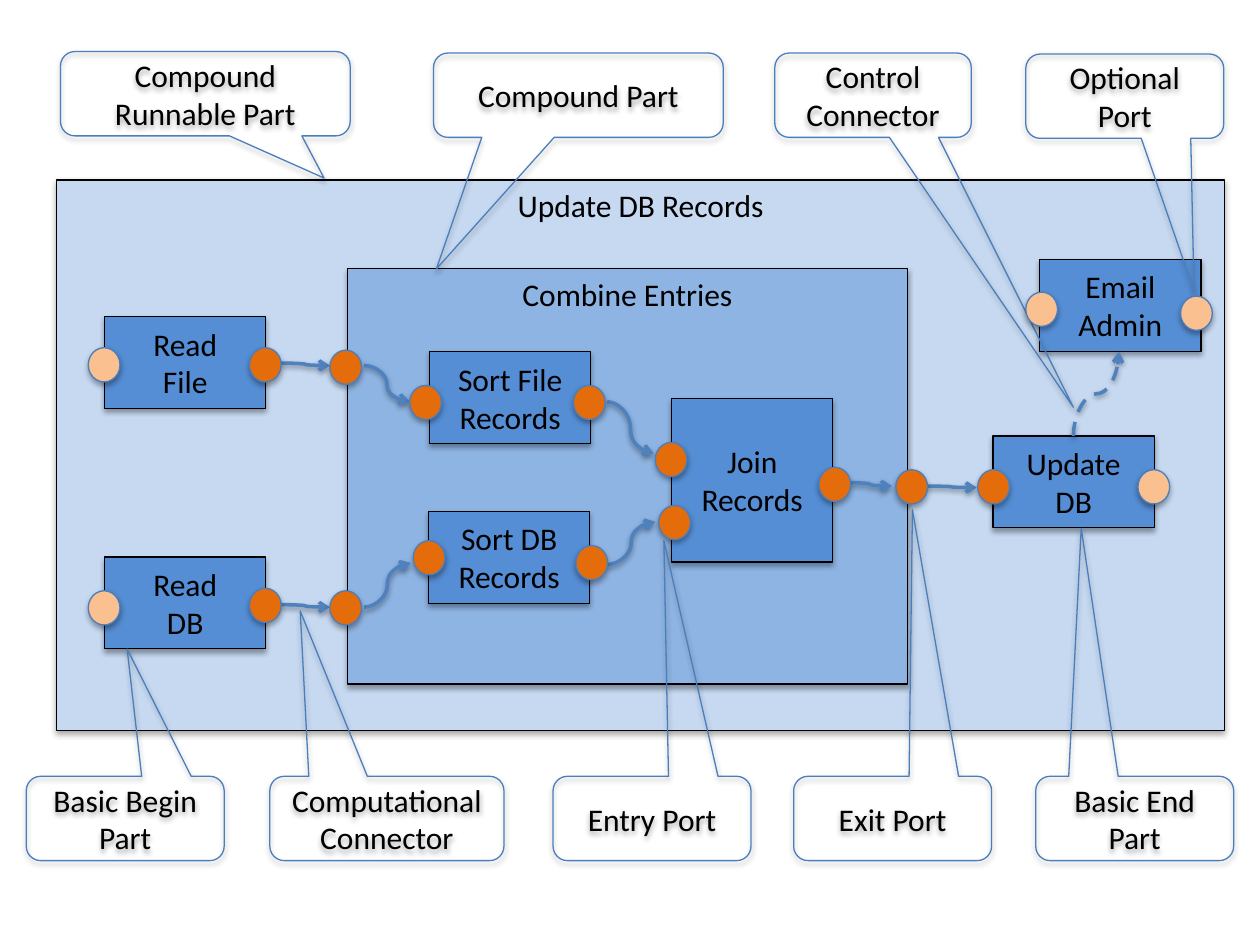
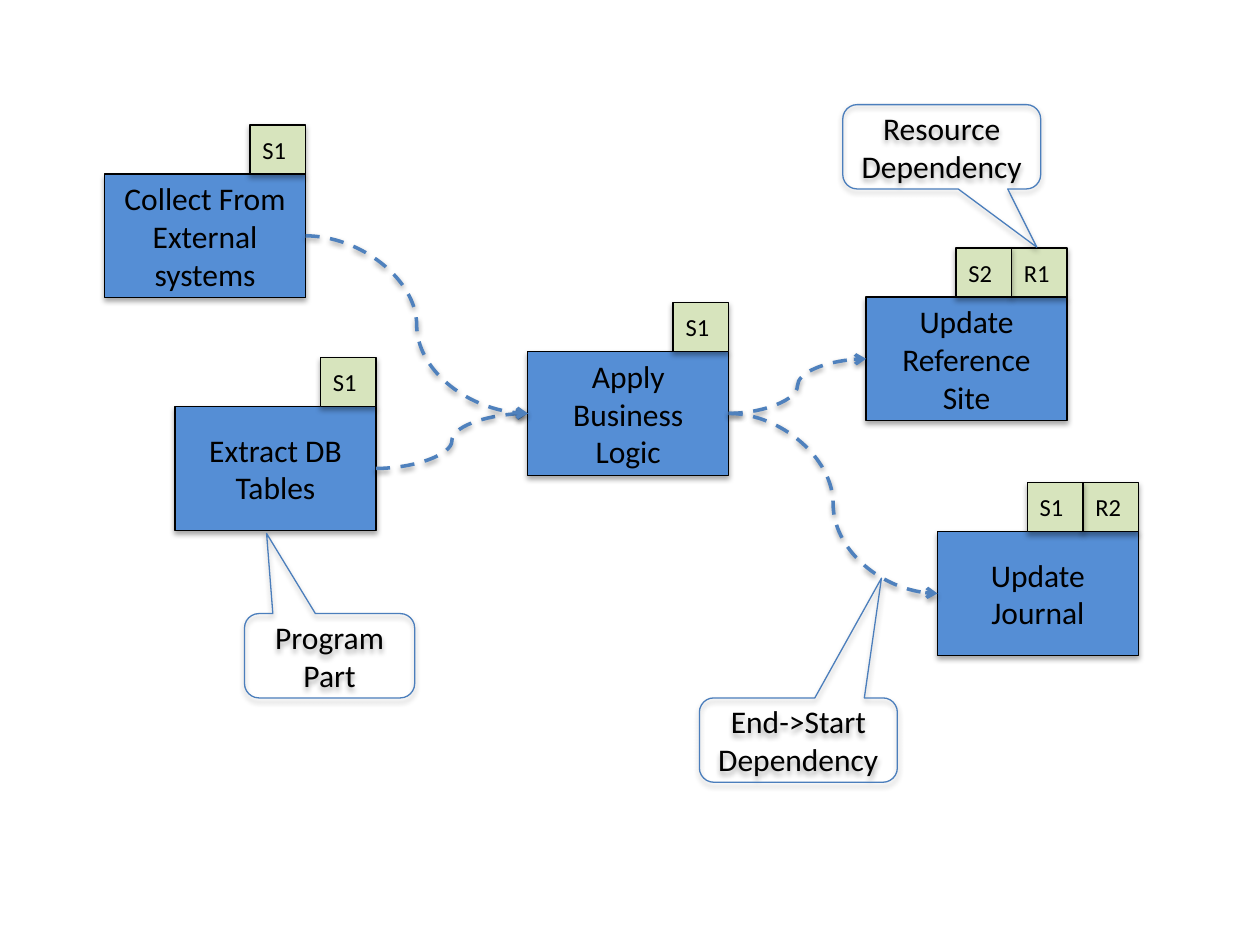
from dataclasses import dataclass
from typing import Any

from lxml import etree
from pptx import Presentation
from pptx import slide as sld
from pptx import util as u
from pptx.dml import color
from pptx.enum import dml, shapes, text
from pptx.oxml import ns
from pptx.shapes import autoshape, connector

Cm = u.Cm
KIND = shapes.MSO_SHAPE
CENTER, LEFT = text.PP_ALIGN.CENTER, text.PP_ALIGN.LEFT
MIDDLE, TOP = text.MSO_ANCHOR.MIDDLE, text.MSO_ANCHOR.TOP
SITE_LEFT, SITE_RIGHT = 1, 3


@dataclass(frozen=True)
class Theme:
    font: str = "Calibri"
    body: int = 18
    small: int = 14
    ink: str = "000000"
    outer: str = "C6D9F1"
    inner: str = "8EB4E3"
    step: str = "558ED5"
    tag: str = "D7E4BD"
    port: str = "E46C0A"
    optional: str = "FAC090"
    outline: str = "4B7EBC"
    link: str = "4F81BD"
    thin: float = 0.75
    thick: float = 2


@dataclass(frozen=True)
class Box:
    label: str
    x: float
    y: float
    w: float = 3.25
    h: float = 1.85
    fill: str = Theme.step
    anchor: Any = MIDDLE
    tags: tuple[str, ...] = ()


@dataclass(frozen=True)
class Callout:
    label: str
    x: float
    y: float
    tip: tuple[float, float]
    w: float = 3.99
    h: float = 1.7


@dataclass(frozen=True)
class Link:
    x1: float
    y1: float
    x2: float
    y2: float


T = Theme()
PORT_W, PORT_H = 0.64, 0.69
TAG_W, TAG_H = 1.12, 0.99
PROGRAM_W, PROGRAM_H = 4.05, 2.49


def rgb(value: str) -> color.RGBColor:
    return color.RGBColor.from_string(value)


def set_all(obj: Any, fmt: dict[str, Any]) -> None:
    for name, value in fmt.items():
        setattr(obj, name, value)


def add_shadow(sp_pr: Any, alpha: int, dist: int) -> None:
    effects = sp_pr.find(ns.qn("a:effectLst"))
    if effects is None:
        effects = etree.SubElement(sp_pr, ns.qn("a:effectLst"))
    outer = etree.SubElement(effects, ns.qn("a:outerShdw"), blurRad="40000",
                             dist=str(dist), dir="5400000", rotWithShape="0")
    clr = etree.SubElement(outer, ns.qn("a:srgbClr"), val=T.ink)
    etree.SubElement(clr, ns.qn("a:alpha"), val=str(alpha * 1000))


def add_shape(s: sld.Slide, kind: Any, x: float, y: float, w: float, h: float,
              fill: str | None, line: str) -> autoshape.Shape:
    sp = s.shapes.add_shape(kind, Cm(x), Cm(y), Cm(w), Cm(h))
    if fill:
        sp.fill.solid()
        sp.fill.fore_color.rgb = rgb(fill)
    else:
        sp.fill.background()
    sp.line.color.rgb = rgb(line)
    sp.line.width = u.Pt(T.thin)
    sp.shadow.inherit = False
    add_shadow(sp.element.spPr, 35, 23000)
    return sp


def write(sp: autoshape.Shape, label: str, size: int = T.body,
          align: Any = CENTER, anchor: Any = MIDDLE) -> None:
    tf = sp.text_frame
    set_all(tf, {"text": label, "word_wrap": True, "vertical_anchor": anchor})
    for p in tf.paragraphs:
        p.alignment = align
        for r in p.runs:
            set_all(r.font, {"name": T.font, "size": u.Pt(size)})
            r.font.color.rgb = rgb(T.ink)


def add_box(s: sld.Slide, box: Box) -> autoshape.Shape:
    sp = add_shape(s, KIND.FLOWCHART_PROCESS, box.x, box.y, box.w, box.h, box.fill, T.ink)
    write(sp, box.label, anchor=box.anchor)
    for i, tag in enumerate(box.tags, start=1):
        tag_sp = add_shape(s, KIND.FLOWCHART_PROCESS, box.x + box.w - i * TAG_W,
                           box.y - TAG_H, TAG_W, TAG_H, T.tag, T.ink)
        write(tag_sp, tag, T.small, LEFT)
    return sp


def add_callout(s: sld.Slide, c: Callout) -> None:
    sp = add_shape(s, KIND.ROUNDED_RECTANGULAR_CALLOUT, c.x, c.y, c.w, c.h, None, T.outline)
    for i, value in enumerate((*c.tip, 0.17)):
        sp.adjustments[i] = value
    write(sp, c.label)


def add_port(s: sld.Slide, x: float, y: float, fill: str) -> None:
    add_shape(s, KIND.FLOWCHART_CONNECTOR, x, y, PORT_W, PORT_H, fill, T.outline)


def add_link(s: sld.Slide, k: Link, dashed: bool = False) -> connector.Connector:
    cx = s.shapes.add_connector(shapes.MSO_CONNECTOR.CURVE,
                                Cm(k.x1), Cm(k.y1), Cm(k.x2), Cm(k.y2))
    cx.line.color.rgb = rgb(T.link)
    cx.line.width = u.Pt(T.thick)
    if dashed:
        cx.line.dash_style = dml.MSO_LINE.DASH
    sp_pr = cx.element.spPr
    etree.SubElement(sp_pr.find(ns.qn("a:ln")), ns.qn("a:tailEnd"), type="arrow")
    add_shadow(sp_pr, 38, 20000)
    return cx


def add_upright_link(s: sld.Slide, k: Link) -> None:
    mx, my = (k.x1 + k.x2) / 2, (k.y1 + k.y2) / 2
    dx, dy = k.x1 - mx, k.y1 - my
    cx = add_link(s, Link(mx + dy, my - dx, mx - dy, my + dx), dashed=True)
    cx.element.spPr.find(ns.qn("a:xfrm")).set("rot", "5400000")


def join(s: sld.Slide, start: autoshape.Shape, end: autoshape.Shape) -> None:
    cx = add_link(s, Link(0, 0, 1, 1), dashed=True)
    cx.begin_connect(start, SITE_RIGHT)
    cx.end_connect(end, SITE_LEFT)


PARTS = [
    Box("Update DB Records", 1.14, 3.63, 23.55, 11.1, T.outer, TOP),
    Box("Combine Entries", 7.01, 5.41, 11.28, 8.38, T.inner, TOP),
    Box("Read\nFile", 2.11, 6.38),
    Box("Read\nDB", 2.11, 11.23),
    Box("Update\nDB", 20.02, 8.79),
    Box("Sort File\nRecords", 8.66, 7.09),
    Box("Sort DB Records", 8.64, 10.31),
    Box("Join\nRecords", 13.54, 8.03, h=3.3),
    Box("Email\nAdmin", 20.96, 5.23),
]
LINKS = [
    Link(5.66, 7.32, 6.65, 7.37),
    Link(5.66, 12.19, 6.65, 12.24),
    Link(7.34, 7.37, 8.26, 8.1),
    Link(7.34, 12.24, 8.28, 11.35),
    Link(12.24, 8.1, 13.18, 9.14),
    Link(12.24, 11.38, 13.21, 10.52),
    Link(17.12, 9.73, 17.98, 9.8),
    Link(18.67, 9.8, 19.69, 9.83),
]
CONTROL_LINK = Link(21.64, 8.79, 22.56, 7.09)
PART_CALLOUTS = [
    Callout("Compound Runnable Part", 1.22, 1.04, (0.41, 1), 5.84),
    Callout("Control Connector", 15.62, 1.07, (1.02, 3.7), 3.96),
    Callout("Compound Part", 8.74, 1.07, (-0.49, 2.06), 5.84),
    Callout("Optional Port", 20.68, 1.09, (0.35, 2.31)),
    Callout("Basic Begin Part", 0.53, 15.65, (0.01, -2.01)),
    Callout("Computational Connector", 5.44, 15.65, (-0.37, -2.46), 4.72),
    Callout("Entry Port", 11.15, 15.65, (0.06, -3.29)),
    Callout("Exit Port", 16, 15.65, (0.1, -3.66)),
    Callout("Basic End Part", 20.88, 15.65, (-0.27, -3.44)),
]
PORTS = {
    T.optional: [(1.78, 7.01), (1.78, 11.91), (20.68, 5.89), (22.94, 9.47), (23.8, 5.97)],
    T.port: [(5.03, 7.01), (5.03, 11.86), (6.65, 7.06), (6.65, 11.91), (8.33, 10.9),
             (8.26, 7.77), (11.56, 7.77), (13.28, 10.19), (13.21, 8.92), (11.61, 11),
             (16.51, 9.42), (18.06, 9.47), (19.71, 9.47)],
}
PROGRAMS = {
    name: Box(label, x, y, PROGRAM_W, PROGRAM_H, tags=tags)
    for name, label, x, y, tags in [
        ("extract", "Extract DB Tables", 3.53, 8.2, ("S1",)),
        ("site", "Update Reference Site", 17.46, 5.99, ("R1", "S2")),
        ("logic", "Apply Business Logic", 10.64, 7.09, ("S1",)),
        ("journal", "Update Journal", 18.9, 10.72, ("R2", "S1")),
        ("collect", "Collect From External systems", 2.11, 3.51, ("S1",)),
    ]
}
DEPENDENCIES = [("extract", "logic"), ("logic", "site"),
                ("logic", "journal"), ("collect", "logic")]
PROGRAM_CALLOUTS = [
    Callout("Program Part", 4.93, 12.37, (-0.37, -1.45), 3.43),
    Callout("End->Start Dependency", 14.1, 14.07, (0.42, -1.92)),
    Callout("Resource Dependency", 16.99, 2.11, (0.48, 1.19)),
]


def build_parts(s: sld.Slide) -> None:
    for box in PARTS:
        add_box(s, box)
    for link in LINKS:
        add_link(s, link)
    add_upright_link(s, CONTROL_LINK)
    for callout in PART_CALLOUTS:
        add_callout(s, callout)
    for fill, places in PORTS.items():
        for x, y in places:
            add_port(s, x, y, fill)


def build_programs(s: sld.Slide) -> None:
    drawn = {name: add_box(s, box) for name, box in PROGRAMS.items()}
    for start, end in DEPENDENCIES:
        join(s, drawn[start], drawn[end])
    for callout in PROGRAM_CALLOUTS:
        add_callout(s, callout)


def main() -> None:
    prs = Presentation()
    set_all(prs, {"slide_width": Cm(25.4), "slide_height": Cm(19.05)})
    for build in (build_parts, build_programs):
        build(prs.slides.add_slide(prs.slide_layouts[6]))
    prs.save("out.pptx")


main()
